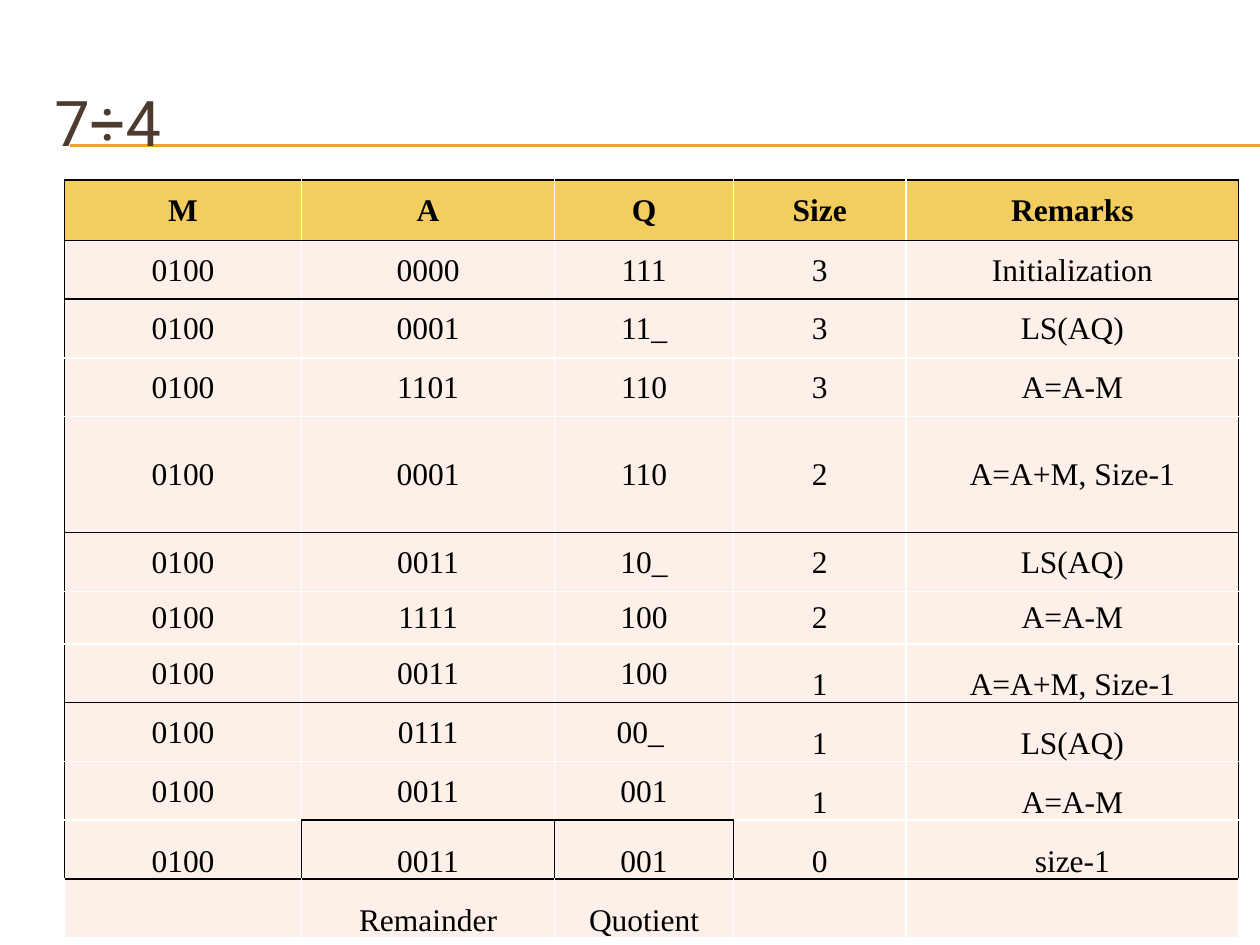
from dataclasses import dataclass

import pptx
import pptx.dml.color
import pptx.enum.shapes
import pptx.enum.text
import pptx.oxml
import pptx.oxml.ns
import pptx.util

Pt = pptx.util.Pt
RGBColor = pptx.dml.color.RGBColor
Anchor = pptx.enum.text.MSO_ANCHOR
Align = pptx.enum.text.PP_ALIGN

BLACK = RGBColor(0x00, 0x00, 0x00)
WHITE = RGBColor(0xFF, 0xFF, 0xFF)
BROWN = RGBColor(0x4E, 0x3B, 0x30)
ORANGE = RGBColor(0xF0, 0xA2, 0x2E)
GOLD = RGBColor(0xF3, 0xCD, 0x60)
CREAM = RGBColor(0xFC, 0xF0, 0xE8)


@dataclass
class Step:
    values: tuple[str, ...]
    height: float = 33.6


COL_WIDTHS = (135.4, 144.7, 102.2, 98.6, 190.1)
STEPS = [
    Step(("M", "A", "Q", "Size", "Remarks"), 34.5),
    Step(("0100", "0000", "111", "3", "Initialization")),
    Step(("0100", "0001", "11_", "3", "LS(AQ)")),
    Step(("0100", "1101", "110", "3", "A=A-M")),
    Step(("0100", "0001", "110", "2", "A=A+M, Size-1"), 66.3),
    Step(("0100", "0011", "10_", "2", "LS(AQ)")),
    Step(("0100", "1111", "100", "2", "A=A-M"), 30),
    Step(("0100", "0011", "100", "1", "A=A+M, Size-1")),
    Step(("0100", "0111", "00_ ", "1", "LS(AQ)")),
    Step(("0100", "0011", "001", "1", "A=A-M")),
    Step(("0100", "0011", "001", "0", "size-1")),
    Step(("", "Remainder", "Quotient", "", "")),
]
RESULT_ROW = 10
CYCLE_ENDS = (0, 1, 4, 7, RESULT_ROW)  # rows with a black rule below


def write(tf, text: str, *, font: str, size: float, color: RGBColor,
          bold: bool = False, align=Align.LEFT) -> None:
    p = tf.paragraphs[0]
    p.alignment = align
    r = p.add_run()
    r.text = text
    r.font.name, r.font.size, r.font.bold = font, Pt(size), bold
    r.font.color.rgb = color


def add_rule(slide, y: float) -> None:
    line = slide.shapes.add_connector(
        pptx.enum.shapes.MSO_CONNECTOR.STRAIGHT, Pt(40.3), Pt(y), Pt(720), Pt(y))
    line.line.color.rgb = ORANGE
    line.line.width = Pt(0.75)
    pptx.oxml.ns.qn("a:effectLst")
    line._element.spPr.append(pptx.oxml.parse_xml(
        f'<a:effectLst {pptx.oxml.ns.nsdecls("a")}/>'))


def black_below(row: int, col: int) -> bool:
    return row in CYCLE_ENDS or (row == RESULT_ROW - 1 and col in (1, 2))


def black_left(row: int, col: int) -> bool:
    """Whether the vertical edge before a column is black."""
    if row > RESULT_ROW:
        return False
    return col in (0, len(COL_WIDTHS)) or (row == RESULT_ROW and col in (1, 2, 3))


def set_borders(cell, row: int, col: int) -> None:
    sides = {"L": black_left(row, col), "R": black_left(row, col + 1),
             "T": row == 0 or black_below(row - 1, col),
             "B": black_below(row, col)}
    tcPr = cell._tc.get_or_add_tcPr()
    for side, is_black in sides.items():
        tcPr.append(pptx.oxml.parse_xml(
            f'<a:ln{side} {pptx.oxml.ns.nsdecls("a")} w="{Pt(1)}"><a:solidFill>'
            f'<a:srgbClr val="{BLACK if is_black else WHITE}"/>'
            f'</a:solidFill></a:ln{side}>'))


def fill_cell(cell, row: int, col: int, text: str) -> None:
    set_borders(cell, row, col)
    cell.fill.solid()
    cell.fill.fore_color.rgb = GOLD if row == 0 else CREAM
    if not text:
        return
    cell.margin_left = cell.margin_right = cell.margin_top = Pt(0.72)
    cell.margin_bottom = 0
    low = row >= RESULT_ROW or (row >= 7 and col >= 3)
    cell.vertical_anchor = Anchor.BOTTOM if low else Anchor.MIDDLE
    write(cell.text_frame, text, font="Times New Roman", size=18, color=BLACK,
          bold=row == 0, align=Align.CENTER)


def add_steps(slide) -> None:
    frame = slide.shapes.add_table(
        len(STEPS), len(COL_WIDTHS), Pt(36.9), Pt(102.8),
        Pt(sum(COL_WIDTHS)), Pt(sum(s.height for s in STEPS)))
    table = frame.table
    table.horz_banding = False
    for column, width in zip(table.columns, COL_WIDTHS):
        column.width = Pt(width)
    for i, step in enumerate(STEPS):
        table.rows[i].height = Pt(step.height)
        for j, text in enumerate(step.values):
            fill_cell(table.cell(i, j), i, j, text)


def main() -> None:
    prs = pptx.Presentation()
    prs.slide_width, prs.slide_height = Pt(720), Pt(540)
    slide = prs.slides.add_slide(prs.slide_layouts[5])

    # Double rule behind the title
    for y in (82.8, 83.5):
        add_rule(slide, y)

    # Title, brought in front of the rule
    title = slide.shapes.title
    title.left, title.top, title.width, title.height = Pt(23.8), Pt(36), Pt(684), Pt(66.2)
    tf = title.text_frame
    tf.auto_size = pptx.enum.text.MSO_AUTO_SIZE.NONE
    tf.vertical_anchor = Anchor.MIDDLE
    write(tf, "7÷4", font="Roboto", size=36, color=BROWN)
    slide.shapes._spTree.append(title._element)

    # Division steps
    add_steps(slide)
    prs.save("out.pptx")


if __name__ == "__main__":
    main()
